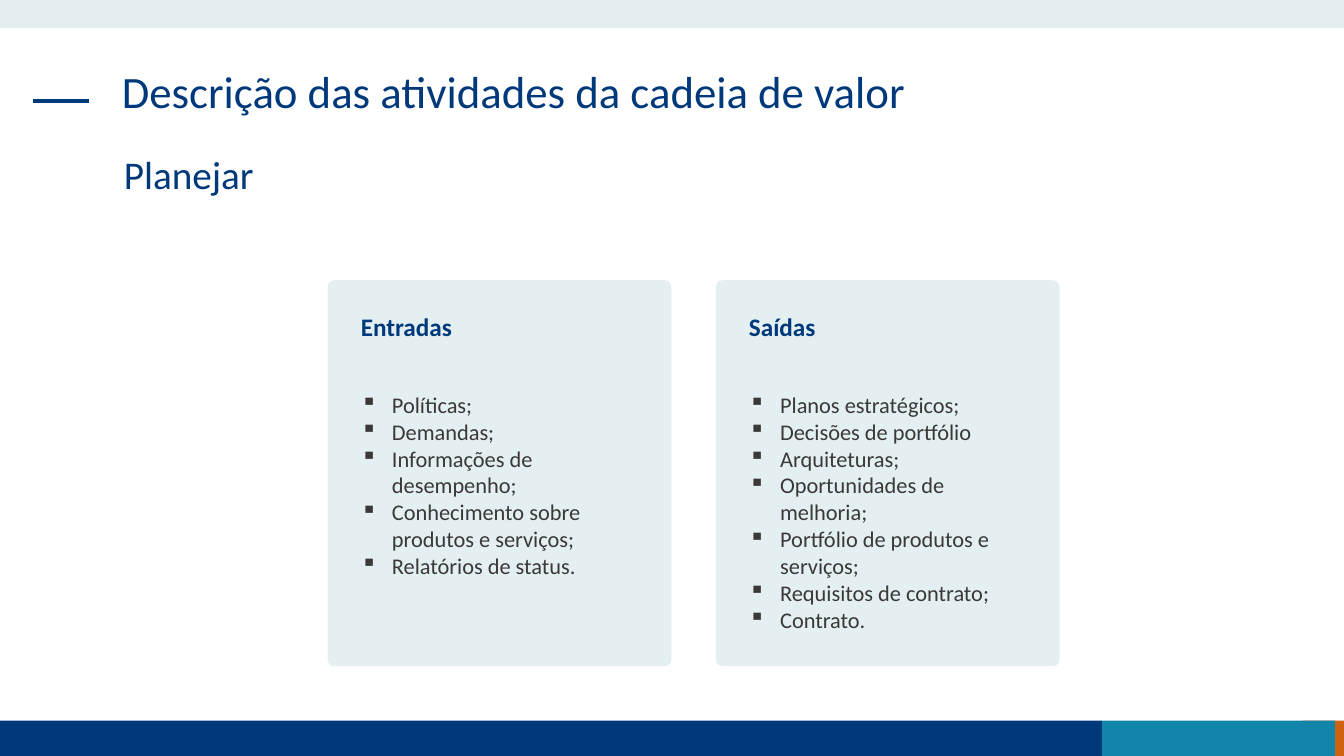
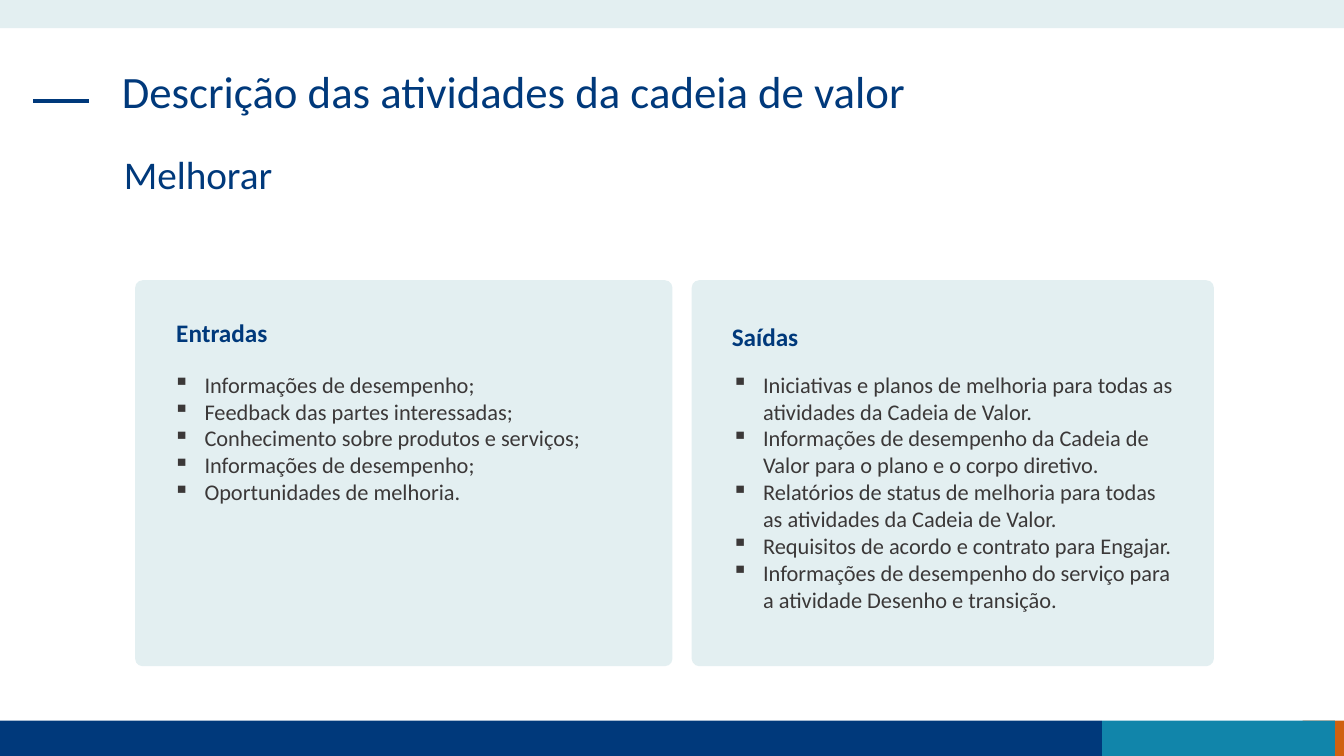
from lxml import etree
from pptx import Presentation
from pptx.dml.color import RGBColor
from pptx.enum.shapes import MSO_CONNECTOR as CONNECTOR, MSO_SHAPE as SHAPE
from pptx.oxml.ns import qn
from pptx.util import Inches, Pt

THEME = {
    "font": "Calibri",
    "navy": RGBColor.from_string("00397B"),
    "teal": RGBColor.from_string("1185AA"),
    "orange": RGBColor.from_string("D06110"),
    "pale": RGBColor.from_string("E3EFF1"),
    "ink": RGBColor.from_string("3B3838"),
    "title": Pt(32),
    "subtitle": Pt(28),
    "heading": Pt(18),
    "body": Pt(16),
}
WIDTH, HEIGHT = 13.33, 7.5
CARD_TOP, CARD_HEIGHT = 2.78, 3.83
BULLET_INDENT = 0.31
TITLE = "Descrição das atividades da cadeia de valor"

# Bands shared by all slides: left, top, width, height, colour
BANDS = [
    (12.92, 7.15, 0.41, 0.35, "orange"),
    (0, 7.15, 10.93, 0.35, "navy"),
    (10.93, 7.15, 2.31, 0.35, "teal"),
    (0, 0, WIDTH, 0.28, "pale"),
]

# Each card: left and width, heading place, list place, list items
ACTIVITIES = [
    ("Planejar", [
        {"heading": "Entradas", "card": (3.25, 3.41),
         "heading_at": (3.48, 3.04), "list_at": (3.48, 3.83, 2.96, 1.99),
         "items": ["Políticas;",
                   "Demandas;",
                   "Informações de desempenho;",
                   "Conhecimento sobre produtos e serviços;",
                   "Relatórios de status."]},
        {"heading": "Saídas", "card": (7.1, 3.41),
         "heading_at": (7.33, 3.04), "list_at": (7.33, 3.83, 2.96, 2.52),
         "items": ["Planos estratégicos;",
                   "Decisões de portfólio",
                   "Arquiteturas;",
                   "Oportunidades de melhoria;",
                   "Portfólio de produtos e serviços;",
                   "Requisitos de contrato;",
                   "Contrato."]},
    ]),
    ("Melhorar", [
        {"heading": "Entradas", "card": (1.34, 5.33),
         "heading_at": (1.65, 3.1), "list_at": (1.62, 3.63, 4.42, 1.45),
         "items": ["Informações de desempenho;",
                   "Feedback das partes interessadas;",
                   "Conhecimento sobre produtos e serviços;",
                   "Informações de desempenho;",
                   "Oportunidades de melhoria."]},
        {"heading": "Saídas", "card": (6.86, 5.18),
         "heading_at": (7.16, 3.14), "list_at": (7.16, 3.63, 4.58, 2.52),
         "items": ["Iniciativas e planos de melhoria para todas as atividades da Cadeia de Valor.",
                   "Informações de desempenho da Cadeia de Valor para o plano e o corpo diretivo.",
                   "Relatórios de status de melhoria para todas as atividades da Cadeia de Valor.",
                   "Requisitos de acordo e contrato para Engajar.",
                   "Informações de desempenho do serviço para a atividade Desenho e transição."]},
    ]),
]


def add_text(slide, lines, box, size="body", color="navy", bold=False, spacing=1.0, bullet=None):
    frame = slide.shapes.add_textbox(*map(Inches, box)).text_frame
    frame.word_wrap = True
    for index, line in enumerate(lines):
        paragraph = frame.add_paragraph() if index else frame.paragraphs[0]
        paragraph.line_spacing = spacing
        run = paragraph.add_run()
        run.text = line
        run.font.name = THEME["font"]
        run.font.size = THEME[size]
        run.font.color.rgb = THEME[color]
        run.font.bold = bold
        if bullet:
            properties = paragraph._p.get_or_add_pPr()
            properties.set("marL", str(Inches(BULLET_INDENT)))
            properties.set("indent", str(-Inches(BULLET_INDENT)))
            etree.SubElement(properties, qn("a:buChar"), char=bullet)


def add_block(slide, kind, box, color):
    block = slide.shapes.add_shape(kind, *map(Inches, box))
    block.shadow.inherit = False
    block.fill.solid()
    block.fill.fore_color.rgb = THEME[color]
    block.line.fill.background()
    return block


deck = Presentation()
deck.slide_width, deck.slide_height = Inches(WIDTH), Inches(HEIGHT)

for activity, cards in ACTIVITIES:
    slide = deck.slides.add_slide(deck.slide_layouts[6])

    # Bands and the dash beside the title
    for *box, color in BANDS:
        add_block(slide, SHAPE.RECTANGLE, box, color)
    dash = slide.shapes.add_connector(
        CONNECTOR.STRAIGHT, Inches(0.33), Inches(1), Inches(0.88), Inches(1))
    dash.line.color.rgb = THEME["navy"]
    dash.line.width = Pt(3)
    etree.SubElement(dash._element.spPr, qn("a:effectLst"))

    # Title and activity
    add_text(slide, [TITLE], (1.11, 0.64, 11.1, 0.94), size="title", spacing=0.9)
    add_text(slide, [activity], (1.13, 1.49, 3.95, 0.59), size="subtitle", spacing=0.9)

    # Cards of inputs and outputs
    for card in cards:
        left, width = card["card"]
        panel = add_block(slide, SHAPE.ROUNDED_RECTANGLE,
                          (left, CARD_TOP, width, CARD_HEIGHT), "pale")
        panel.adjustments[0] = 0.02
        add_text(slide, [card["heading"]], (*card["heading_at"], 2.96, 0.4),
                 size="heading", bold=True)
        add_text(slide, card["items"], card["list_at"], color="ink", bullet="▪")

deck.save("out.pptx")
